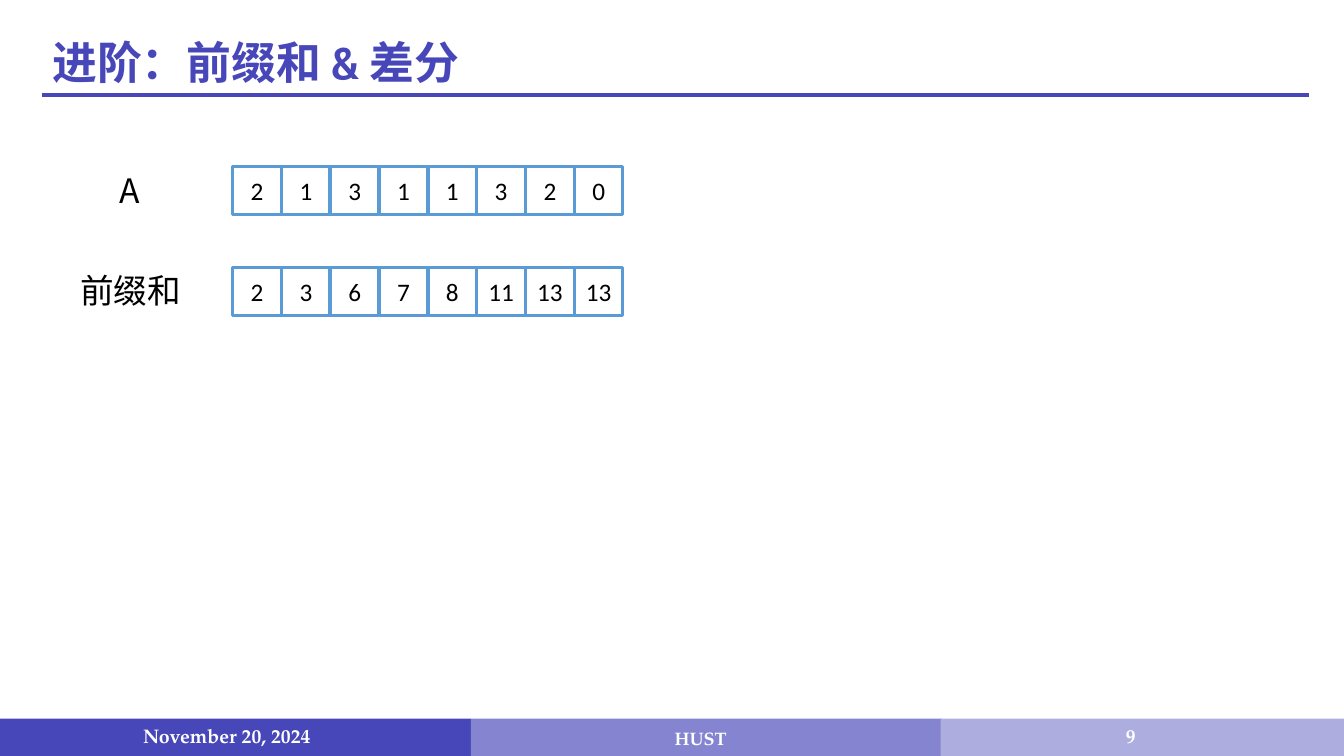
from dataclasses import dataclass
from itertools import accumulate

from lxml import etree
from pptx import Presentation
from pptx.dml.color import RGBColor
from pptx.enum.shapes import MSO_CONNECTOR, MSO_SHAPE
from pptx.enum.text import MSO_ANCHOR, PP_ALIGN
from pptx.oxml.ns import qn
from pptx.util import Inches, Pt

INDIGO = RGBColor(0x47, 0x47, 0xBA)
MID_INDIGO = RGBColor(0x84, 0x84, 0xD1)
PALE_INDIGO = RGBColor(0xAD, 0xAD, 0xE0)
BLUE = RGBColor(0x5B, 0x9B, 0xD5)
BLACK = RGBColor(0, 0, 0)
WHITE = RGBColor(0xFF, 0xFF, 0xFF)

RECT = MSO_SHAPE.RECTANGLE
STRAIGHT = MSO_CONNECTOR.STRAIGHT
LEFT, CENTER = PP_ALIGN.LEFT, PP_ALIGN.CENTER
TOP, MIDDLE = MSO_ANCHOR.TOP, MSO_ANCHOR.MIDDLE

SERIF = "TeX Gyre Pagella"
CJK = "Noto Sans CJK SC"
CELL_LEFT, CELL_SIZE, CELL_PITCH = 2.31, 0.48, 0.484
VALUES = [2, 1, 3, 1, 1, 3, 2, 0]


@dataclass
class Box:
    left: float
    top: float
    width: float
    height: float

    def emu(self) -> list[int]:
        return [Inches(v) for v in (self.left, self.top, self.width, self.height)]


@dataclass
class FooterPart:
    band: Box
    fill: RGBColor
    text: str
    text_box: Box
    size: float
    align: PP_ALIGN


@dataclass
class ArrayRow:
    label: str
    label_box: Box
    top: float
    values: list[int]


FOOTER = [
    FooterPart(Box(0, 7.13, 4.67, 0.37), INDIGO, "November 20, 2024",
               Box(1.32, 7.1, 2.02, 0.4), 14, LEFT),
    FooterPart(Box(4.67, 7.13, 4.67, 0.37), MID_INDIGO, "HUST",
               Box(4.48, 7.17, 4.94, 0.3), 12.9, CENTER),
    FooterPart(Box(9.33, 7.13, 4, 0.37), PALE_INDIGO, "9",
               Box(10.77, 7, 0.89, 0.6), 14, CENTER),
]
ROWS = [
    ArrayRow("A", Box(1.07, 1.64, 0.44, 0.5), 1.65, VALUES),
    ArrayRow("前缀和", Box(0.69, 2.63, 1.21, 0.5), 2.65, list(accumulate(VALUES))),
]


def write_text(sp, text: str, *, size: float, font: str, color: RGBColor,
               bold: bool = False, align: PP_ALIGN = CENTER,
               anchor: MSO_ANCHOR = MIDDLE, wrap: bool = True,
               line_spacing: float = 1.0) -> None:
    tf = sp.text_frame
    tf.word_wrap = wrap
    tf.vertical_anchor = anchor
    p = tf.paragraphs[0]
    p.alignment = align
    p.line_spacing = line_spacing
    r = p.add_run()
    r.text = text
    r.font.size = Pt(size)
    r.font.name = font
    r.font.bold = bold
    r.font.color.rgb = color
    etree.SubElement(r.font._element, qn("a:ea"), typeface=CJK)


def add_rect(slide, box: Box, fill: RGBColor | None = None,
             line: RGBColor | None = None):
    sp = slide.shapes.add_shape(RECT, *box.emu())
    sp.shadow.inherit = False
    if fill is None:
        sp.fill.background()
    else:
        sp.fill.solid()
        sp.fill.fore_color.rgb = fill
    if line is None:
        sp.line.fill.background()
    else:
        sp.line.color.rgb = line
        sp.line.width = Pt(2.25)
    return sp


def add_title(slide) -> None:
    rule = slide.shapes.add_connector(
        STRAIGHT, Inches(0.42), Inches(0.94), Inches(12.98), Inches(0.94))
    rule.line.color.rgb = INDIGO
    rule.line.width = Pt(3)
    etree.SubElement(rule._element.spPr, qn("a:effectLst"))
    sp = slide.shapes.add_textbox(*Box(0.42, 0.36, 7.44, 0.58).emu())
    write_text(sp, "进阶：前缀和 & 差分", size=32, font="Cabin", color=INDIGO,
               bold=True, align=LEFT, anchor=TOP, line_spacing=0.9)


def add_footer(slide) -> None:
    for part in FOOTER:
        add_rect(slide, part.band, fill=part.fill)
    for part in FOOTER:
        sp = slide.shapes.add_textbox(*part.text_box.emu())
        write_text(sp, part.text, size=part.size, font=SERIF, color=WHITE,
                   bold=True, align=part.align)


def add_array(slide, row: ArrayRow) -> None:
    for i, value in enumerate(row.values):
        box = Box(CELL_LEFT + i * CELL_PITCH, row.top, CELL_SIZE, CELL_SIZE)
        sp = add_rect(slide, box, line=BLUE)
        write_text(sp, str(value), size=18, font="Calibri", color=BLACK, wrap=False)
    label = slide.shapes.add_textbox(*row.label_box.emu())
    write_text(label, row.label, size=24, font=CJK, color=BLACK,
               anchor=TOP, wrap=False)


def main() -> None:
    prs = Presentation()
    prs.slide_width = Inches(13.33)
    prs.slide_height = Inches(7.5)
    slide = prs.slides.add_slide(prs.slide_layouts[6])
    add_footer(slide)
    add_title(slide)
    for row in ROWS:
        add_array(slide, row)
    prs.save("out.pptx")


if __name__ == "__main__":
    main()
